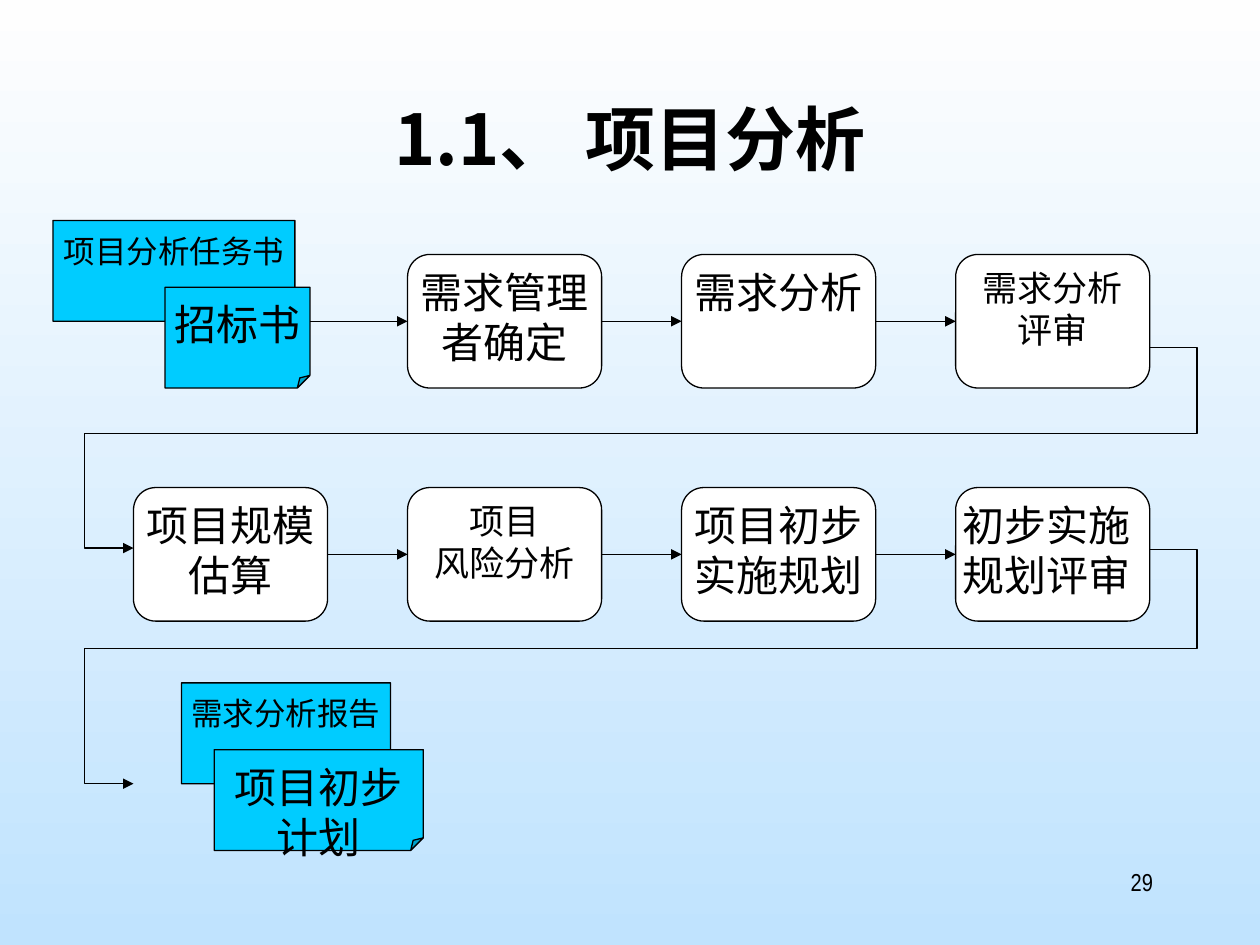
from dataclasses import dataclass

from lxml.etree import SubElement
from pptx import Presentation
from pptx.dml.color import RGBColor
from pptx.enum.shapes import MSO_CONNECTOR, MSO_SHAPE
from pptx.enum.text import MSO_ANCHOR, PP_ALIGN
from pptx.oxml.ns import qn
from pptx.util import Inches, Pt

GRID_COLUMNS, GRID_ROWS = 100, 75
CELL = Inches(10) // GRID_COLUMNS
BLACK, WHITE, CYAN = "000000", "FFFFFF", "00CCFF"
CHINESE_FONT, BODY_FONT, NUMBER_FONT = "Noto Sans CJK SC", "Times New Roman", "Arial Narrow"
STEP_LEFT, STEP_PITCH, STEP_WIDTH, STEP_HEIGHT = 10.6, 21.75, 15.4, 10.6
STEP_TOPS = (20.2, 38.7)
NOTE_HEIGHT, NOTE_INSET, TEXT_DROP = 8, 0.5, 0.4
LINE_RATIO = 1.2
RETURN_LEFT, RETURN_RIGHT = 6.7, 95


@dataclass(frozen=True)
class Step:
    """A process step in one column and row of the flow."""
    column: int
    row: int
    lines: tuple[str, ...]
    size: int = 24
    align: PP_ALIGN = PP_ALIGN.CENTER


@dataclass(frozen=True)
class Note:
    """A document with a folded corner, placed in grid cells."""
    left: float
    top: float
    width: float
    text: str
    size: int


@dataclass(frozen=True)
class Return:
    """A bent arrow from the end of one row to the start of the next."""
    start: float
    middle: float
    end: float


STEPS = (
    Step(1, 0, ("需求管理者确定",)),
    Step(2, 0, ("需求分析",)),
    Step(3, 0, ("需求分析", "评审"), 20),
    Step(0, 1, ("项目规模", "估算")),
    Step(1, 1, ("项目", "风险分析"), 20),
    Step(2, 1, ("项目初步", "实施规划")),
    Step(3, 1, ("初步实施", "规划评审"), align=PP_ALIGN.JUSTIFY),
)
NOTES = (
    Note(14.4, 54.2, 16.6, "需求分析报告", 18),
    Note(4.2, 17.5, 19.2, "项目分析任务书", 18),
    Note(13.1, 22.8, 11.5, "招标书", 24),
    Note(17, 59.5, 16.6, "项目初步计划", 24),
)
RETURNS = (Return(27.6, 34.4, 43.5), Return(43.6, 51.5, 62.2))


def cells(*counts: float) -> list[int]:
    """Turn grid counts into slide lengths."""
    return [round(count * CELL) for count in counts]


def color(value: str) -> RGBColor:
    """Turn a hex string into a colour."""
    return RGBColor.from_string(value)


def write(shape, lines, size, font, align, insets, bold=False, spaced=True) -> None:
    """Write one paragraph per line into a shape."""
    frame = shape.text_frame
    frame.word_wrap = True
    frame.vertical_anchor = MSO_ANCHOR.TOP
    frame.margin_left, frame.margin_top, frame.margin_right, frame.margin_bottom = cells(*insets)
    for index, line in enumerate(lines):
        para = frame.add_paragraph() if index else frame.paragraphs[0]
        para.alignment = align
        if spaced:
            para.line_spacing = Pt(size * LINE_RATIO)
        span = para.add_run()
        span.text = line
        span.font.size = Pt(size)
        span.font.name = font
        span.font.bold = bold
        span.font.color.rgb = color(BLACK)
        SubElement(span.font._element, qn("a:ea"), typeface=CHINESE_FONT)


def outline(shape) -> None:
    """Give a shape or connector the thin black line."""
    shape.line.color.rgb = color(BLACK)
    shape.line.width = Pt(0.75)


def add_arrowhead(shape) -> None:
    """Put a triangle at the end of a line."""
    SubElement(shape.line._get_or_add_ln(), qn("a:tailEnd"), type="triangle")


def add_block(page, kind, area, fill: str):
    """Draw a filled, outlined preset shape."""
    block = page.shapes.add_shape(kind, *cells(*area))
    block.shadow.inherit = False
    block.fill.solid()
    block.fill.fore_color.rgb = color(fill)
    outline(block)
    return block


def add_step(page, step: Step):
    """Draw a process step."""
    left = STEP_LEFT + step.column * STEP_PITCH
    area = (left, STEP_TOPS[step.row], STEP_WIDTH, STEP_HEIGHT)
    box = add_block(page, MSO_SHAPE.ROUNDED_RECTANGLE, area, WHITE)
    write(box, step.lines, step.size, BODY_FONT, step.align, (0, TEXT_DROP, 0, 0))
    return box


def add_note(page, note: Note) -> None:
    """Draw a document."""
    area = (note.left, note.top, note.width, NOTE_HEIGHT)
    box = add_block(page, MSO_SHAPE.FOLDED_CORNER, area, CYAN)
    guides = box._element.spPr.find(qn("a:prstGeom")).get_or_add_avLst()
    SubElement(guides, qn("a:gd"), name="adj", fmla="val 12500")
    insets = (0, NOTE_INSET + TEXT_DROP, 0, NOTE_INSET)
    write(box, (note.text,), note.size, BODY_FONT, PP_ALIGN.CENTER, insets)


def add_arrow(page, target, source=None) -> None:
    """Join a step to the one before it, or to the input documents."""
    middle = target.top + target.height // 2
    start = cells(23.4)[0]
    arrow = page.shapes.add_connector(MSO_CONNECTOR.STRAIGHT, start, middle, target.left, middle)
    if source is not None:
        arrow.begin_connect(source, 3)
    arrow.end_connect(target, 1)
    outline(arrow)
    add_arrowhead(arrow)
    SubElement(arrow._element.spPr, qn("a:effectLst"))


def add_return(page, turn: Return) -> None:
    """Draw a bent arrow back to the left edge of the flow."""
    row_end = STEP_LEFT + 3 * STEP_PITCH + STEP_WIDTH
    points = [
        (RETURN_RIGHT, turn.start), (RETURN_RIGHT, turn.middle),
        (RETURN_LEFT, turn.middle), (RETURN_LEFT, turn.end), (STEP_LEFT, turn.end),
    ]
    builder = page.shapes.build_freeform(*cells(row_end, turn.start))
    builder.add_line_segments([tuple(cells(*point)) for point in points], close=False)
    bend = builder.convert_to_shape()
    bend.shadow.inherit = False
    bend.fill.background()
    outline(bend)
    add_arrowhead(bend)


def paint_background(page) -> None:
    """Fill the page from near white down to light blue."""
    fill = page.background.fill
    fill.gradient()
    fill.gradient_angle = 270
    for stop, value in zip(fill.gradient_stops, ("FEFEFE", "C0E3FE")):
        stop.color.rgb = color(value)


def main() -> None:
    """Build the deck."""
    deck = Presentation()
    deck.slide_width, deck.slide_height = cells(GRID_COLUMNS, GRID_ROWS)
    page = deck.slides.add_slide(deck.slide_layouts[6])
    paint_background(page)
    title = page.shapes.add_textbox(*cells(7.5, 6.7, 85, 12.5))
    write(title, ("1.1、 项目分析",), 40, CHINESE_FONT, PP_ALIGN.CENTER,
          (1, 0.5 + TEXT_DROP, 1, 0.5), bold=True)
    boxes = {(step.row, step.column): add_step(page, step) for step in STEPS}
    for (row, column), box in boxes.items():
        if column:
            add_arrow(page, box, boxes.get((row, column - 1)))
    for note in NOTES:
        add_note(page, note)
    for turn in RETURNS:
        add_return(page, turn)
    number = page.shapes.add_textbox(*cells(71.7, 68.3, 20.8, 5))
    write(number, ("29",), 14, NUMBER_FONT, PP_ALIGN.RIGHT, (1, 0.5, 1, 0.5), spaced=False)
    deck.save("out.pptx")


if __name__ == "__main__":
    main()
